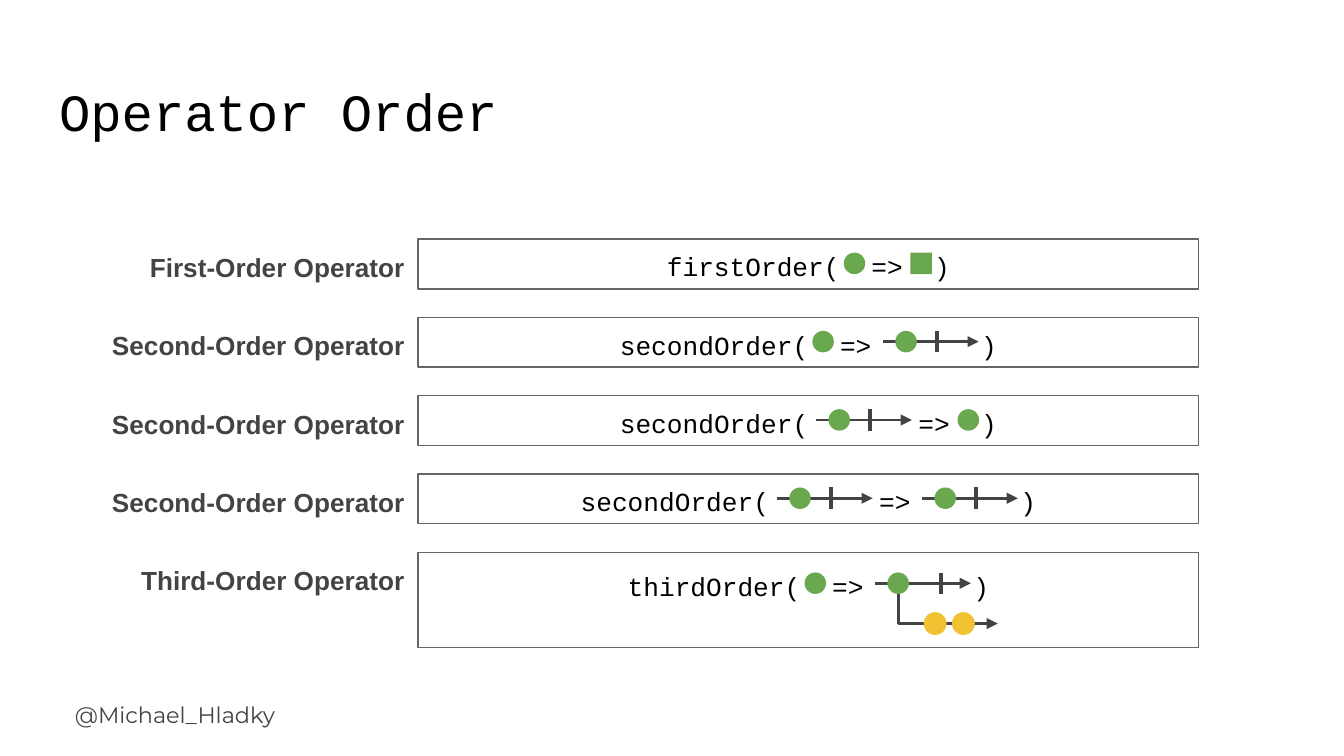
from lxml import etree
from pptx import Presentation
from pptx import util as u
from pptx.dml.color import RGBColor
from pptx.enum import shapes, text
from pptx.oxml.ns import qn

BLACK = RGBColor(0x00, 0x00, 0x00)
WHITE = RGBColor(0xFF, 0xFF, 0xFF)
DARK = RGBColor(0x43, 0x43, 0x43)
BORDER = RGBColor(0x66, 0x66, 0x66)
GREEN = RGBColor(0x6A, 0xA8, 0x4F)
YELLOW = RGBColor(0xF1, 0xC2, 0x32)

OVAL = shapes.MSO_SHAPE.OVAL
RECTANGLE = shapes.MSO_SHAPE.RECTANGLE

# Grid in inches: a label column and a box column, rows at an equal pitch
LABEL_LEFT, LABEL_WIDTH, LABEL_HEIGHT = 0.48, 2.63, 0.5
BOX_LEFT, BOX_WIDTH, BOX_HEIGHT, TALL_BOX_HEIGHT = 3.11, 5.81, 0.37, 0.71
FIRST_ROW, LAST_ROW = 1.78, 4.11

CODE_SIZE = 14
CHARACTER_POINTS = 0.6 * CODE_SIZE
CHARACTER = CHARACTER_POINTS / 72
GAPS = {"circle": 2, "square": 2, "stream": 7, "nested": 7}  # in characters
MARK = 0.16
STREAM_LENGTH = 0.71

ROWS = [
    ("First-Order Operator", "firstOrder", "circle", "square"),
    ("Second-Order Operator", "secondOrder", "circle", "stream"),
    ("Second-Order Operator", "secondOrder", "stream", "circle"),
    ("Second-Order Operator", "secondOrder", "stream", "stream"),
    ("Third-Order Operator", "thirdOrder", "circle", "nested"),
]


def inches(*lengths):
    return [u.Inches(length) for length in lengths]


def write(shape, pieces, *, size, font, color, bold=False, spacing=1.0,
          align=text.PP_ALIGN.LEFT, anchor=text.MSO_ANCHOR.TOP):
    """Fill a shape with (text, extra character spacing in points) pieces."""
    frame = shape.text_frame
    frame.word_wrap = True
    frame.auto_size = text.MSO_AUTO_SIZE.NONE
    frame.vertical_anchor = anchor
    frame.margin_left = frame.margin_right = u.Inches(0.1)
    frame.margin_top = frame.margin_bottom = u.Inches(0.1)
    paragraph = frame.paragraphs[0]
    paragraph.alignment = align
    paragraph.line_spacing = spacing
    for content, tracking in pieces:
        run = paragraph.add_run()
        run.text = content
        run.font.size = u.Pt(size)
        run.font.name = font
        run.font.bold = bold
        run.font.color.rgb = color
        if tracking:
            run.font._element.set("spc", str(round(tracking * 100)))


def add_text(slide, content, left, top, width, height, **style):
    box = slide.shapes.add_textbox(*inches(left, top, width, height))
    write(box, [(content, 0)], **style)


def add_filled(slide, kind, left, top, width, height, fill, border=None):
    shape = slide.shapes.add_shape(kind, *inches(left, top, width, height))
    shape.shadow.inherit = False
    shape.fill.solid()
    shape.fill.fore_color.rgb = fill
    if border is None:
        shape.line.fill.background()
    else:
        shape.line.color.rgb = border
        shape.line.width = u.Pt(0.75)
    return shape


def add_mark(slide, left, middle, kind=OVAL, color=GREEN, size=MARK):
    add_filled(slide, kind, left, middle - size / 2, size, size, color)


def add_line(slide, start, end, width=1.5, arrow=False):
    line = slide.shapes.add_connector(
        shapes.MSO_CONNECTOR.STRAIGHT, *inches(*start, *end))
    line.line.color.rgb = DARK
    line.line.width = u.Pt(width)
    if arrow:
        etree.SubElement(line.line._get_or_add_ln(), qn("a:tailEnd"),
                         type="triangle")
    etree.SubElement(line._element.spPr, qn("a:effectLst"))


def add_stream(slide, left, middle, bar_offset=0.4):
    """Draw an arrow that carries one value and a completion bar."""
    add_line(slide, (left, middle), (left + STREAM_LENGTH, middle), arrow=True)
    bar = left + bar_offset
    add_line(slide, (bar, middle - MARK / 2), (bar, middle + MARK / 2), 2.25)
    add_mark(slide, left + 0.09, middle)


def add_nested_stream(slide, left, middle):
    """Draw a stream whose value branches into an inner stream."""
    add_stream(slide, left, middle, bar_offset=0.49)
    branch, inner = left + 0.17, middle + 0.3
    add_line(slide, (branch, middle + MARK / 2), (branch, inner))
    add_line(slide, (branch, inner), (branch + 0.74, inner), arrow=True)
    for offset in (0.19, 0.4):
        add_mark(slide, branch + offset, inner, color=YELLOW, size=0.17)


def add_symbol(slide, symbol, left, middle):
    if symbol == "stream":
        add_stream(slide, left + 0.03, middle)
    elif symbol == "nested":
        add_nested_stream(slide, left + 0.03, middle)
    else:
        add_mark(slide, left, middle, RECTANGLE if symbol == "square" else OVAL)


def add_operator_row(slide, top, label, name, source, result):
    add_text(slide, label, LABEL_LEFT, top - 0.06, LABEL_WIDTH, LABEL_HEIGHT,
             size=14, font="Arial", color=DARK, bold=True, spacing=1.15,
             align=text.PP_ALIGN.RIGHT, anchor=text.MSO_ANCHOR.MIDDLE)

    tall = result == "nested"
    box = add_filled(slide, RECTANGLE, BOX_LEFT, top, BOX_WIDTH,
                     TALL_BOX_HEIGHT if tall else BOX_HEIGHT, WHITE, BORDER)
    opening, arrow, closing = name + "(", "=>", ")"
    source_gap, result_gap = GAPS[source], GAPS[result]
    write(box, [(opening, 0), (" ", (source_gap - 1) * CHARACTER_POINTS),
                (arrow, 0), (" ", (result_gap - 1) * CHARACTER_POINTS),
                (closing, 0)],
          size=CODE_SIZE, font="Courier New", color=BLACK, spacing=1.15,
          align=text.PP_ALIGN.CENTER,
          anchor=text.MSO_ANCHOR.TOP if tall else text.MSO_ANCHOR.MIDDLE)

    # Symbols sit in the gaps of the centred, fixed-width code
    count = len(opening + arrow + closing) + source_gap + result_gap
    code_left = BOX_LEFT + (BOX_WIDTH - count * CHARACTER) / 2
    source_left = code_left + len(opening) * CHARACTER
    result_left = source_left + (source_gap + len(arrow)) * CHARACTER
    middle = top + (0.23 if tall else 0.18)
    add_symbol(slide, source, source_left + 0.03, middle)
    add_symbol(slide, result, result_left + 0.06, middle)


def main():
    presentation = Presentation()
    presentation.slide_width = u.Inches(10)
    presentation.slide_height = presentation.slide_width * 9 // 16
    slide = presentation.slides.add_slide(presentation.slide_layouts[5])

    title = slide.shapes.title
    title.left, title.top, title.width, title.height = inches(
        0.34, 0.49, 8.65, 0.63)
    write(title, [("Operator Order", 0)], size=28, font="Courier New",
          color=BLACK)
    add_text(slide, "@Michael_Hladky", 0.46, 5.12, 2.24, 0.45,
             size=12, font="Montserrat", color=DARK)

    pitch = (LAST_ROW - FIRST_ROW) / (len(ROWS) - 1)
    for index, row in enumerate(ROWS):
        add_operator_row(slide, FIRST_ROW + index * pitch, *row)

    presentation.save("out.pptx")


if __name__ == "__main__":
    main()
